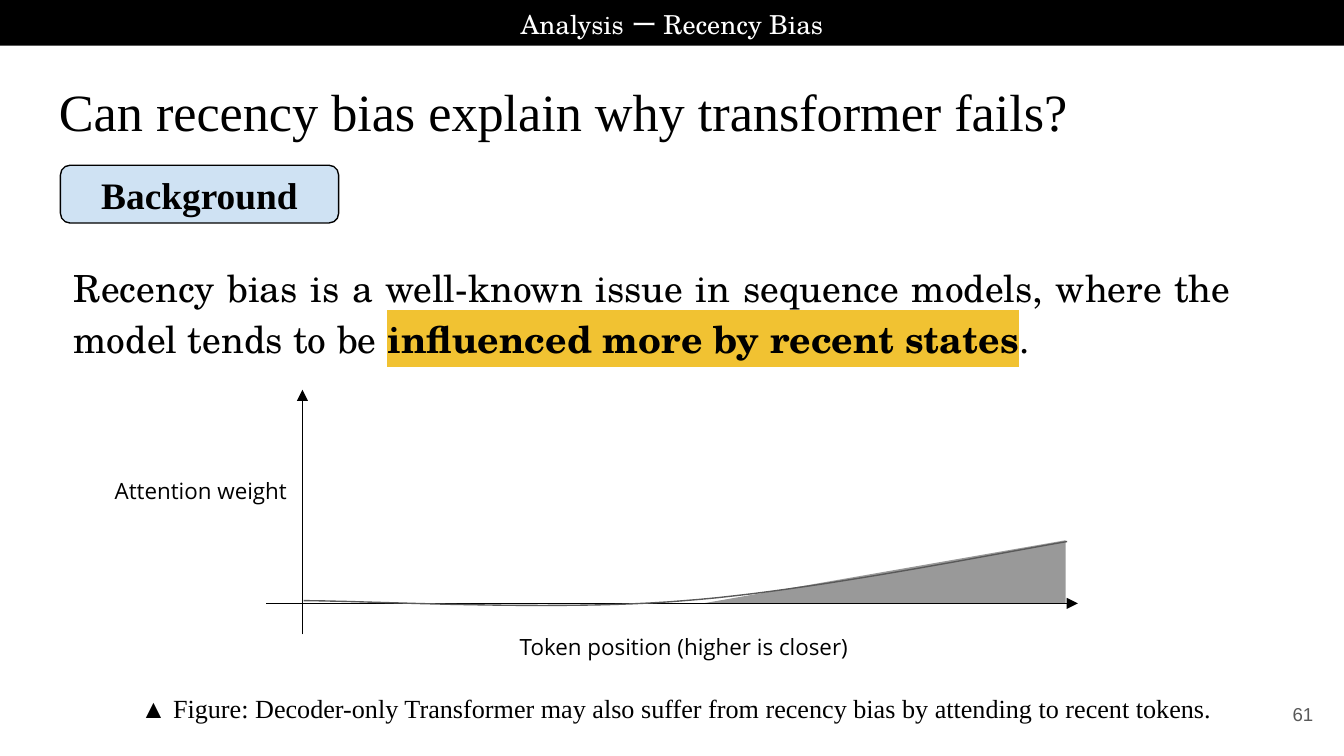
from lxml import etree
from pptx import Presentation
from pptx.dml.color import RGBColor
from pptx.enum.shapes import MSO_CONNECTOR, MSO_SHAPE
from pptx.enum.text import MSO_ANCHOR, PP_ALIGN
from pptx.oxml.ns import qn
from pptx.util import Inches, Pt

STRAIGHT = MSO_CONNECTOR.STRAIGHT
RECTANGLE = MSO_SHAPE.RECTANGLE
ROUNDED = MSO_SHAPE.ROUNDED_RECTANGLE
RIGHT_TRIANGLE = MSO_SHAPE.RIGHT_TRIANGLE
TOP, MIDDLE = MSO_ANCHOR.TOP, MSO_ANCHOR.MIDDLE
LEFT, CENTER, RIGHT, JUSTIFY = PP_ALIGN.LEFT, PP_ALIGN.CENTER, PP_ALIGN.RIGHT, PP_ALIGN.JUSTIFY

COLORS = {
    "ink": "000000",
    "paper": "FFFFFF",
    "badge": "CFE2F3",
    "highlight": "F1C232",
    "area": "999999",
    "curve": "595959",
    "page": "595959",
}
SERIF, BODY, LABEL, SANS = "Times New Roman", "TeX Gyre Schola", "Open Sans", "Arial"
SPACED = {"line_spacing": 1.15, "space_after": Pt(12)}
LINE_WIDTH = Pt(0.75)
CURVE_STEPS = 24


def rgb(name):
    return RGBColor.from_string(COLORS[name])


def write(shape, runs, font, size, color="ink", align=CENTER, anchor=MIDDLE, spacing=None):
    frame = shape.text_frame
    margins = {f"margin_{side}": Inches(0.1) for side in ("left", "top", "right", "bottom")}
    for key, value in {"word_wrap": True, "vertical_anchor": anchor, **margins}.items():
        setattr(frame, key, value)
    paragraph = frame.paragraphs[0]
    for key, value in {"alignment": align, **(spacing or {})}.items():
        setattr(paragraph, key, value)
    for text, bold, highlight in runs:
        run = paragraph.add_run()
        run.text = text
        for key, value in {"name": font, "size": Pt(size), "bold": bold}.items():
            setattr(run.font, key, value)
        run.font.color.rgb = rgb(color)
        if highlight:
            mark = etree.Element(qn("a:highlight"))
            etree.SubElement(mark, qn("a:srgbClr")).set("val", COLORS[highlight])
            run.font.fill._xPr.find(qn("a:latin")).addprevious(mark)


def add_text(slide, box, text, font, size, **options):
    textbox = slide.shapes.add_textbox(*map(Inches, box))
    runs = [(text, False, None)] if isinstance(text, str) else text
    write(textbox, runs, font, size, **options)


def add_filled(slide, preset, box, fill, outline=None):
    shape = slide.shapes.add_shape(preset, *map(Inches, box))
    shape.shadow.inherit = False
    shape.fill.solid()
    shape.fill.fore_color.rgb = rgb(fill)
    if outline:
        shape.line.color.rgb = rgb(outline)
        shape.line.width = LINE_WIDTH
    else:
        shape.line.fill.background()
    return shape


def add_axis(slide, start, end):
    axis = slide.shapes.add_connector(STRAIGHT, *map(Inches, (*start, *end)))
    axis.line.color.rgb = rgb("ink")
    axis.line.width = LINE_WIDTH
    etree.SubElement(axis.line._get_or_add_ln(), qn("a:tailEnd")).set("type", "triangle")
    etree.SubElement(axis._element.spPr, qn("a:effectLst"))


def bezier(points, t):
    weights = ((1 - t) ** 3, 3 * t * (1 - t) ** 2, 3 * t**2 * (1 - t), t**3)
    return tuple(round(sum(w * p[axis] for w, p in zip(weights, points))) for axis in (0, 1))


def add_curve(slide, left, top, knots):
    points = [(Inches(left + x), Inches(top + y)) for x, y in knots]
    samples = [
        bezier(points[first:first + 4], step / CURVE_STEPS)
        for first in range(0, len(points) - 1, 3)
        for step in range(1, CURVE_STEPS + 1)
    ]
    builder = slide.shapes.build_freeform(*points[0])
    builder.add_line_segments(samples, close=False)
    curve = builder.convert_to_shape()
    curve.shadow.inherit = False
    curve.fill.background()
    curve.line.color.rgb = rgb("curve")
    curve.line.width = LINE_WIDTH


def add_banner(slide, left, top, width, height):
    add_filled(slide, RECTANGLE, (left, top, width, height), "ink")
    title_width = 5.14
    title_box = (left + (width - title_width) / 2, top, title_width, height)
    add_text(slide, title_box, "Analysis ー Recency Bias", BODY, 14, color="paper", spacing=SPACED)


def add_background(slide, left, top, width, height):
    badge = add_filled(slide, ROUNDED, (left, top, 2.07, 0.43), "badge", "ink")
    write(badge, [("Background", True, None)], SERIF, 20)
    statement = [
        ("Recency bias is a well-known issue in sequence models, where the model tends to be ", False, None),
        ("influenced more by recent states", True, "highlight"),
        (".", False, None),
    ]
    add_text(slide, (left, top + 0.59, width, height - 0.59), statement, BODY, 20,
             align=JUSTIFY, anchor=TOP, spacing=SPACED)


def add_attention_figure(slide, left, top, width, height):
    origin_x, baseline = left + 2.23, top + 1.59
    triangle = add_filled(slide, RIGHT_TRIANGLE, (left + 5.21, baseline - 0.47, 2.7, 0.47), "area")
    triangle._element.spPr.find(qn("a:xfrm")).set("flipH", "1")
    add_axis(slide, (origin_x, baseline + 0.23), (origin_x, top))
    add_axis(slide, (origin_x - 0.27, baseline), (left + 8, baseline))
    add_text(slide, (left + 3.4, baseline + 0.12, 3.34, 0.4),
             "Token position (higher is closer)", LABEL, 12, anchor=TOP)
    add_curve(slide, origin_x + 0.01, baseline, [
        (0, -0.02), (0.47, -0.02), (1.88, 0.06), (2.83, -0.02),
        (3.77, -0.09), (5.2, -0.38), (5.68, -0.46),
    ])
    add_text(slide, (left, top + 0.55, 2.95, 0.4), "Attention weight", LABEL, 12, anchor=TOP)
    caption = "▲ Figure: Decoder-only Transformer may also suffer from recency bias by attending to recent tokens."
    add_text(slide, (left + 0.61, top + height - 0.54, width - 0.61, 0.54), caption, SERIF, 14)


def main():
    deck = Presentation()
    deck.slide_width = Inches(10)
    deck.slide_height = deck.slide_width * 9 // 16
    slide = deck.slides.add_slide(deck.slide_layouts[6])
    add_text(slide, (0.34, 0.49, 9.32, 0.63), "Can recency bias explain why transformer fails?",
             SERIF, 28, align=LEFT, anchor=TOP)
    add_text(slide, (9.27, 5.1, 0.6, 0.43), "61", SANS, 10, color="page", align=RIGHT)
    add_background(slide, 0.45, 1.23, 8.81, 1.52)
    add_attention_figure(slide, 0.02, 2.9, 9.42, 2.64)
    add_banner(slide, 0, -0.01, 10, 0.35)
    deck.save("out.pptx")


if __name__ == "__main__":
    main()
